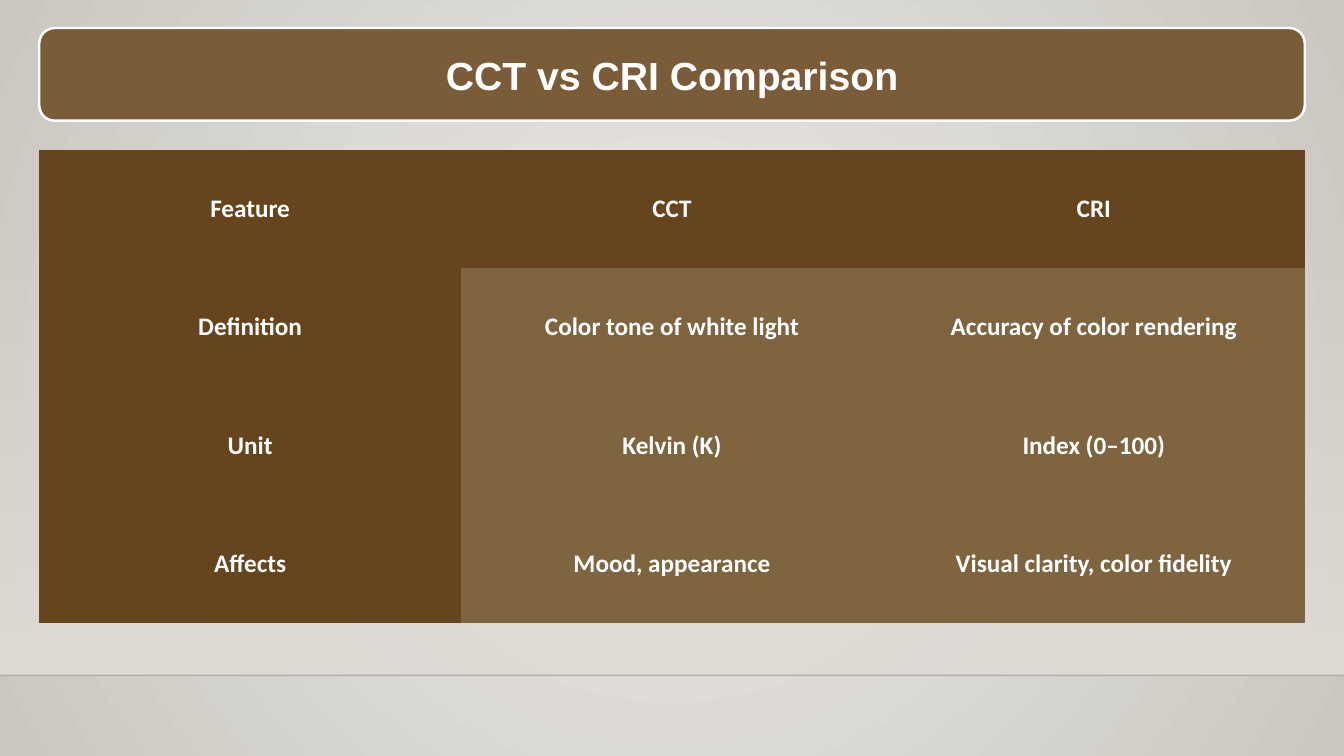
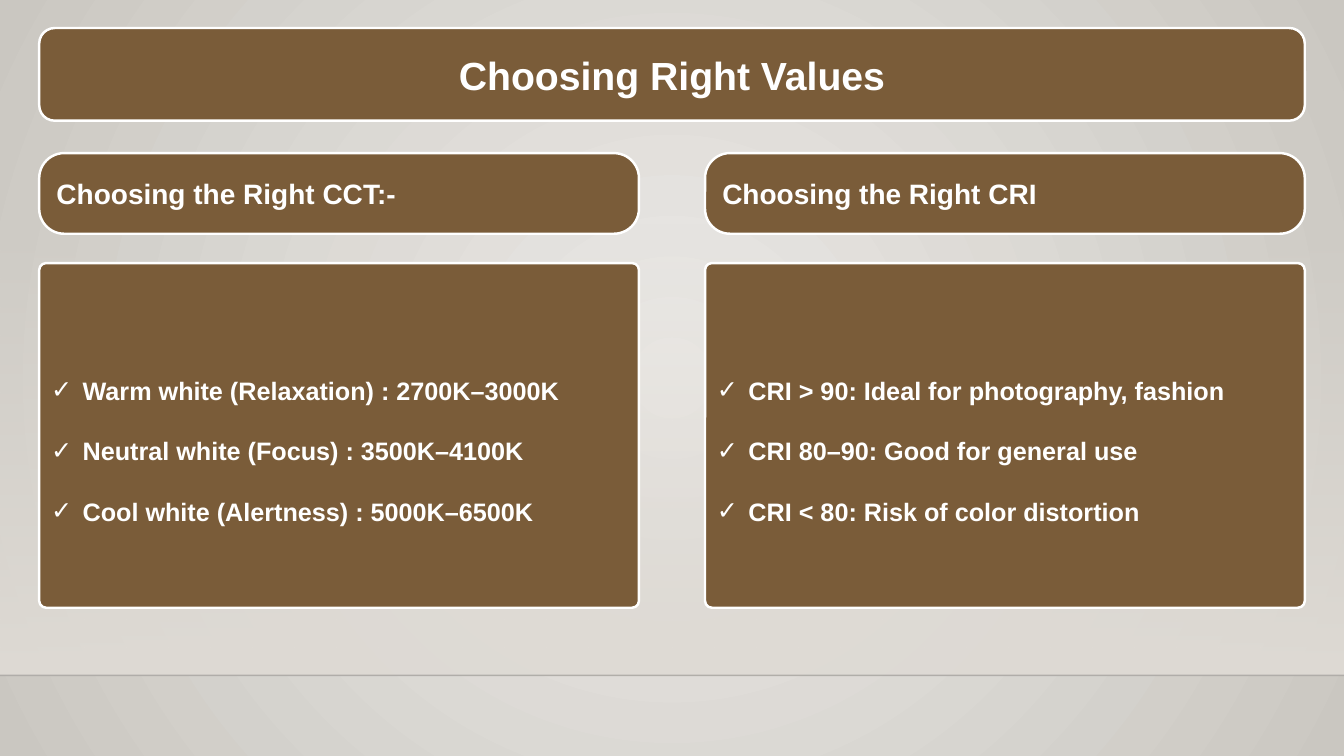
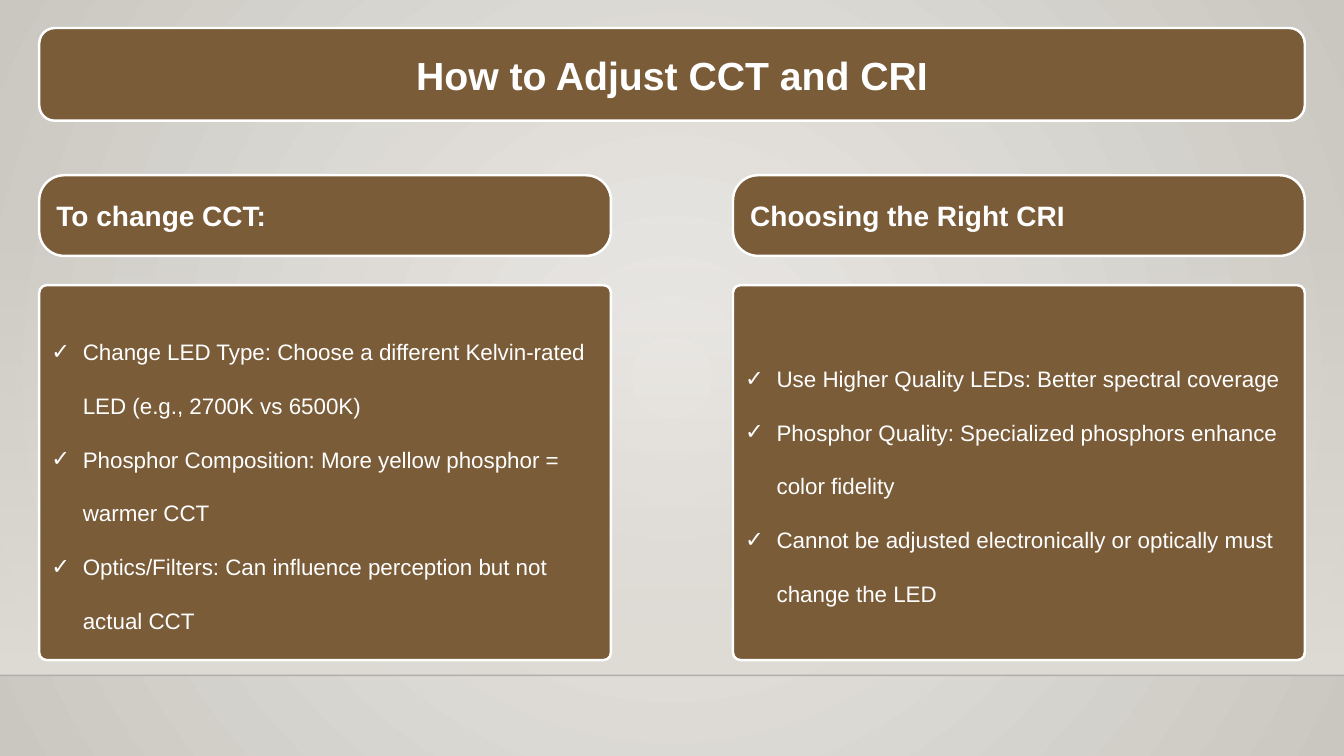
from lxml import etree
from pptx import Presentation
from pptx.dml.color import RGBColor
from pptx.enum.shapes import MSO_CONNECTOR, MSO_SHAPE
from pptx.enum.text import MSO_ANCHOR, PP_ALIGN
from pptx.oxml.ns import qn
from pptx.util import Pt

RECTANGLE, ROUNDED = MSO_SHAPE.RECTANGLE, MSO_SHAPE.ROUNDED_RECTANGLE
STRAIGHT = MSO_CONNECTOR.STRAIGHT
MIDDLE = MSO_ANCHOR.MIDDLE
LEFT, CENTER = PP_ALIGN.LEFT, PP_ALIGN.CENTER

COLORS = {
    "center": "ECEAE7",
    "edge": "CAC7C1",
    "glow": "DFDBD5",
    "horizon": "000001",
    "panel": "7A5C39",
    "header": "66441D",
    "cell": "7E643F",
    "white": "FFFFFF",
}
WIDTH, HEIGHT = 960, 540
MARGIN = 28
CONTENT_WIDTH = WIDTH - 2 * MARGIN
TITLE_AREA = (MARGIN, 20, CONTENT_WIDTH, 66.2)
GLOW_TOP, HORIZON = 159, 482.4
HEADING_HEIGHT, HEADING_GAP = 57.6, 20.9
BULLET_INDENT = Pt(22.5)
PLAIN_TABLE_STYLE = "{2D5ABB26-0587-4C30-8999-92F81FD0307C}"

COMPARISON = [
    ["Feature", "CCT", "CRI"],
    ["Definition", "Color tone of white light", "Accuracy of color rendering"],
    ["Unit", "Kelvin (K)", "Index (0–100)"],
    ["Affects", "Mood, appearance", "Visual clarity, color fidelity"],
]
CHOOSING = [
    ("Choosing the Right CCT:-", [
        "Warm white (Relaxation) : 2700K–3000K",
        "Neutral white (Focus) : 3500K–4100K",
        "Cool white (Alertness) : 5000K–6500K",
    ]),
    ("Choosing the Right CRI", [
        "CRI > 90: Ideal for photography, fashion",
        "CRI 80–90: Good for general use",
        "CRI < 80: Risk of color distortion",
    ]),
]
ADJUSTING = [
    ("To change CCT:", [
        "Change LED Type: Choose a different Kelvin-rated LED (e.g., 2700K vs 6500K)",
        "Phosphor Composition: More yellow phosphor = warmer CCT",
        "Optics/Filters: Can influence perception but not actual CCT",
    ]),
    ("Choosing the Right CRI", [
        "Use Higher Quality LEDs: Better spectral coverage",
        "Phosphor Quality: Specialized phosphors enhance color fidelity",
        "Cannot be adjusted electronically or optically must change the LED",
    ]),
]


def color(name):
    return RGBColor.from_string(COLORS[name])


def points(*lengths):
    return [Pt(length) for length in lengths]


def set_alpha(element, percent):
    """Make the first solid colour inside the element transparent."""
    tint = next(element.iter(qn("a:srgbClr")))
    etree.SubElement(tint, qn("a:alpha")).set("val", str(percent * 1000))


def fill_gradient(fill, first, last):
    fill.gradient()
    for stop, name in zip(fill.gradient_stops, (first, last)):
        stop.color.rgb = color(name)


def make_radial(gradient):
    gradient.remove(gradient.find(qn("a:lin")))
    circle = etree.SubElement(gradient, qn("a:path"), {"path": "circle"})
    sides = dict.fromkeys("ltrb", "50000")
    etree.SubElement(circle, qn("a:fillToRect"), sides)


def add_bullet(para):
    properties = para._p.get_or_add_pPr()
    properties.set("marL", str(BULLET_INDENT))
    properties.set("indent", str(-BULLET_INDENT))
    etree.SubElement(properties, qn("a:buFont")).set("typeface", "Arial")
    etree.SubElement(properties, qn("a:buChar")).set("char", "✓")


def write(frame, lines, *, size, font="Arial", bold=True, align=LEFT,
          bullets=False, spacing=None):
    frame.word_wrap = True
    for index, line in enumerate(lines):
        para = frame.add_paragraph() if index else frame.paragraphs[0]
        if bullets:
            add_bullet(para)
        para.alignment = align
        para.line_spacing = spacing
        span = para.add_run()
        span.text = line
        span.font.name = font
        span.font.size = Pt(size)
        span.font.bold = bold
        span.font.color.rgb = color("white")


def add_panel(page, area, corner=0.1667):
    box = page.shapes.add_shape(ROUNDED, *points(*area))
    box.adjustments[0] = corner
    box.shadow.inherit = False
    box.fill.solid()
    box.fill.fore_color.rgb = color("panel")
    box.line.color.rgb = color("white")
    box.line.width = Pt(1.75)
    box.text_frame.vertical_anchor = MIDDLE
    return box


def add_glow(page):
    glow = page.shapes.add_shape(
        RECTANGLE, *points(0, GLOW_TOP, WIDTH, HORIZON - GLOW_TOP))
    glow.shadow.inherit = False
    glow.line.fill.background()
    fill_gradient(glow.fill, "glow", "glow")
    glow.fill.gradient_angle = 270
    set_alpha(glow._element.spPr, 0)
    return glow


def add_horizon(page):
    horizon = page.shapes.add_connector(
        STRAIGHT, *points(0, HORIZON, WIDTH, HORIZON))
    horizon.line.color.rgb = color("horizon")
    horizon.line.width = Pt(1)
    set_alpha(horizon._element.spPr, 20)
    etree.SubElement(horizon._element.spPr, qn("a:effectLst"))
    return horizon


def style_master(deck, page):
    """Build the shared backdrop and title band on a page, then move them to the master."""
    master = deck.slide_master
    fill_gradient(master.background.fill, "center", "edge")
    make_radial(next(master.element.cSld.iter(qn("a:gradFill"))))
    shared = [add_glow(page), add_horizon(page), add_panel(page, TITLE_AREA)]
    for number, shape in enumerate(shared, start=20):
        next(shape._element.iter(qn("p:cNvPr"))).set("id", str(number))
        master.shapes._spTree.append(shape._element)


def add_page(deck, heading):
    page = deck.slides.add_slide(deck.slide_layouts[5])
    title = page.shapes.title
    title.left, title.top, title.width, title.height = points(*TITLE_AREA)
    title.text_frame.vertical_anchor = MIDDLE
    write(title.text_frame, [heading], size=28, align=CENTER)
    return page


def add_comparison(page, rows, top, row_height):
    area = points(MARGIN, top, CONTENT_WIDTH, row_height * len(rows))
    table = page.shapes.add_table(len(rows), len(rows[0]), *area).table
    table.first_col = True
    table.horz_banding = False
    table._tbl.tblPr.find(qn("a:tableStyleId")).text = PLAIN_TABLE_STYLE
    for row_index, row in enumerate(rows):
        for column_index, text in enumerate(row):
            cell = table.cell(row_index, column_index)
            is_header = row_index == 0 or column_index == 0
            cell.fill.solid()
            cell.fill.fore_color.rgb = color("header" if is_header else "cell")
            cell.vertical_anchor = MIDDLE
            write(cell.text_frame, [text], size=18, font="Calibri", align=CENTER)


def add_columns(page, columns, *, top, width, body_height, size, bold):
    """Place headed checklists side by side, flush with both margins."""
    step = (CONTENT_WIDTH - width) / (len(columns) - 1)
    body_top = top + HEADING_HEIGHT + HEADING_GAP
    for index, (heading, items) in enumerate(columns):
        left = MARGIN + index * step
        head = add_panel(page, (left, top, width, HEADING_HEIGHT), 0.31)
        write(head.text_frame, [heading], size=20)
        body = add_panel(page, (left, body_top, width, body_height), 0.02)
        write(body.text_frame, items, size=size, bold=bold,
              bullets=True, spacing=2.0)


def main():
    deck = Presentation()
    deck.slide_width, deck.slide_height = points(WIDTH, HEIGHT)

    page = add_page(deck, "CCT vs CRI Comparison")
    style_master(deck, page)
    add_comparison(page, COMPARISON, top=107.2, row_height=84.4)

    page = add_page(deck, "Choosing Right Values")
    add_columns(page, CHOOSING, top=109.4, width=428.4, body_height=246.2,
                size=18, bold=True)

    page = add_page(deck, "How to Adjust CCT and CRI")
    add_columns(page, ADJUSTING, top=125.2, width=408.4, body_height=267.8,
                size=16, bold=False)

    deck.save("out.pptx")


if __name__ == "__main__":
    main()
